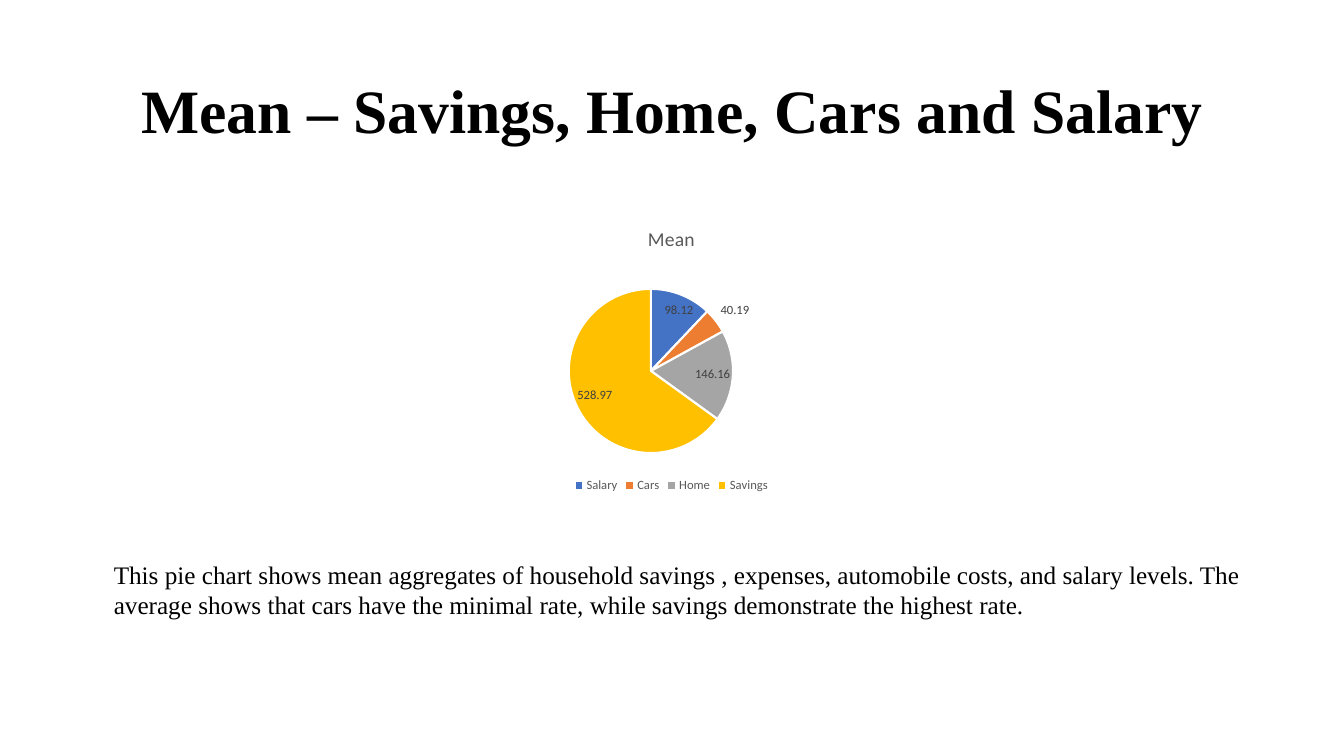
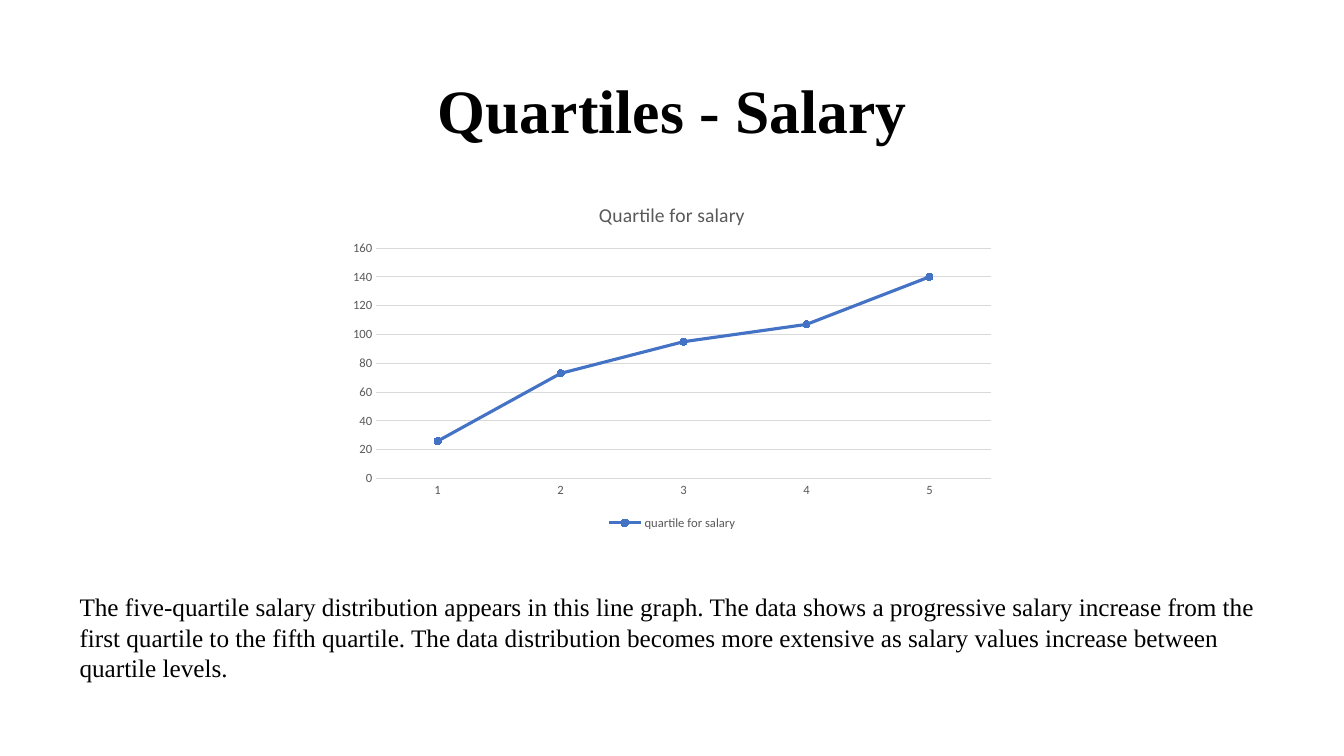
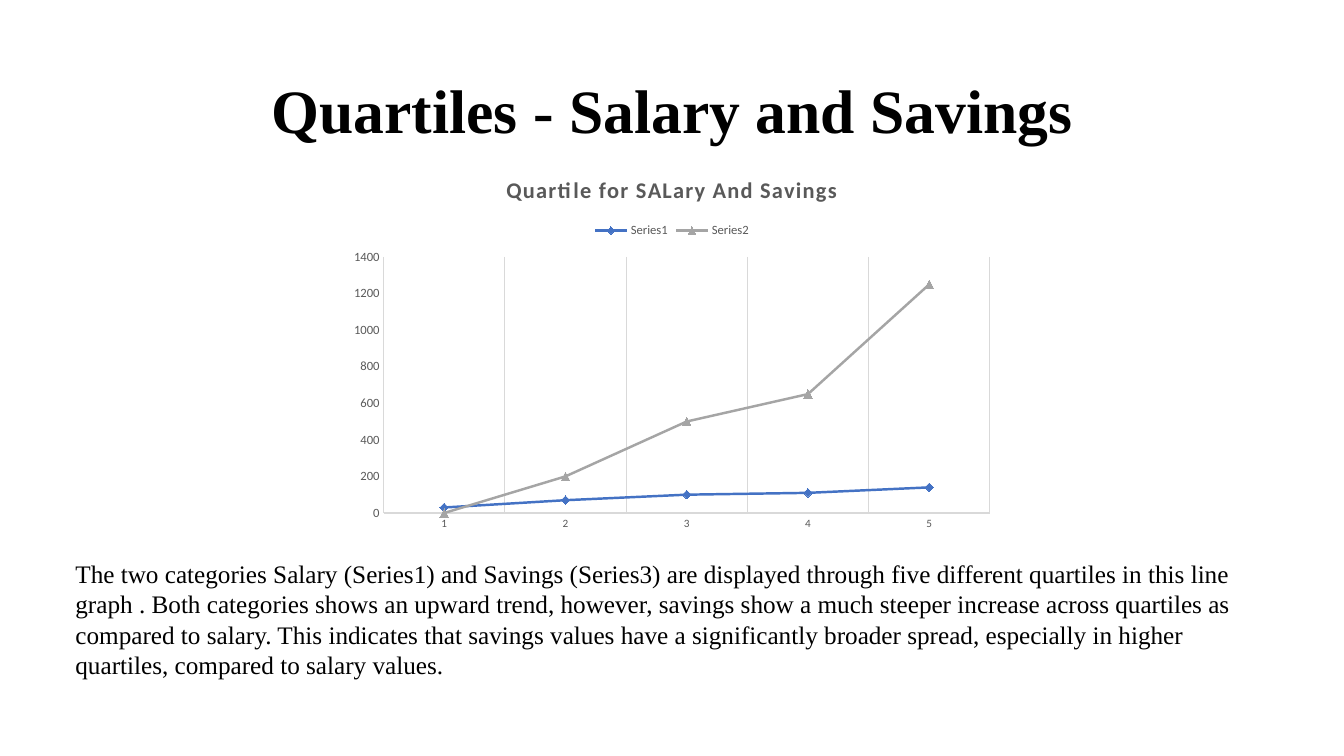
import pptx
import pptx.chart.data
import pptx.dml.color
import pptx.enum.chart
import pptx.enum.text
import pptx.util

Inches = pptx.util.Inches
Pt = pptx.util.Pt
RGBColor = pptx.dml.color.RGBColor
ChartType = pptx.enum.chart.XL_CHART_TYPE
LegendPosition = pptx.enum.chart.XL_LEGEND_POSITION
Marker = pptx.enum.chart.XL_MARKER_STYLE

BLACK = RGBColor(0x00, 0x00, 0x00)
WHITE = RGBColor(0xFF, 0xFF, 0xFF)
DARK_GREY = RGBColor(0x40, 0x40, 0x40)
TEXT_GREY = RGBColor(0x59, 0x59, 0x59)
RULE_GREY = RGBColor(0xD9, 0xD9, 0xD9)
BLUE = RGBColor(0x44, 0x72, 0xC4)
ORANGE = RGBColor(0xED, 0x7D, 0x31)
GREY = RGBColor(0xA5, 0xA5, 0xA5)
GOLD = RGBColor(0xFF, 0xC0, 0x00)

SERIF = "Times New Roman"
SANS = "Calibri"
QUARTILES = ["1", "2", "3", "4", "5"]


def style_font(font, name, size, color, bold=False):
    font.name = name
    font.size = Pt(size)
    font.color.rgb = color
    font.bold = bold


def style_line(line, color, width):
    line.color.rgb = color
    line.width = Pt(width)


deck = pptx.Presentation()
deck.slide_width = Inches(13.33)
deck.slide_height = Inches(7.5)

# Title position shared by all slides
title_only = deck.slide_layouts[5]
heading_area = title_only.placeholders[0]
heading_area.left, heading_area.top = Inches(0.92), Inches(0.4)
heading_area.width, heading_area.height = Inches(11.5), Inches(1.45)

# Content: each slide has a heading, a chart and a caption
topics = [
    {
        "heading": "Mean – Savings, Home, Cars and Salary",
        "chart_type": ChartType.PIE,
        "chart_area": (2.13, 2.09, 9.06, 2.84),
        "chart_title": "Mean",
        "legend": LegendPosition.BOTTOM,
        "categories": ["Salary", "Cars", "Home", "Savings"],
        "series": [("Mean", [98.12, 40.19, 146.16, 528.97])],
        "caption_area": (1.03, 5.5, 12.01, 0.71),
        "caption": "This pie chart shows mean aggregates of household savings , "
                   "expenses, automobile costs, and salary levels. The average shows "
                   "that cars have the minimal rate, while savings demonstrate the "
                   "highest rate.",
    },
    {
        "heading": "Quartiles - Salary",
        "chart_type": ChartType.LINE_MARKERS,
        "chart_area": (3.37, 1.84, 6.59, 3.46),
        "chart_title": "Quartile for salary",
        "legend": LegendPosition.BOTTOM,
        "categories": QUARTILES,
        "series": [("quartile for salary", [26, 73, 95, 107, 140])],
        "line_styles": [(BLUE, 2.25, Marker.CIRCLE, 5)],
        "category_font_size": 9,
        "caption_area": (0.69, 5.82, 12.09, 1.01),
        "caption": "The five-quartile salary distribution appears in this line graph. "
                   "The data shows a progressive salary increase from the first "
                   "quartile to the fifth quartile. The data distribution becomes more "
                   "extensive as salary values increase between quartile levels.",
    },
    {
        "heading": "Quartiles - Salary and Savings",
        "chart_type": ChartType.LINE_MARKERS,
        "chart_area": (3.38, 1.57, 6.57, 3.77),
        "chart_title": "Quartile for SALary And Savings",
        "spaced_title": True,
        "legend": LegendPosition.TOP,
        "categories": QUARTILES,
        "series": [("Series1", [30, 70, 100, 110, 140]),
                   ("Series2", [0, 200, 500, 650, 1250])],
        "line_styles": [(BLUE, 1.75, Marker.DIAMOND, 6),
                        (GREY, 1.75, Marker.TRIANGLE, 6)],
        "category_font_size": 8,
        "vertical_rules": True,
        "caption_area": (0.65, 5.49, 12.03, 1.31),
        "caption": "The two categories Salary (Series1) and Savings (Series3) are "
                   "displayed through five different quartiles in this line graph . "
                   "Both categories shows an upward trend, however, savings show a "
                   "much steeper increase across quartiles as compared to salary. This "
                   "indicates that savings values have a significantly broader spread, "
                   "especially in higher quartiles, compared to salary values.",
    },
]

for topic in topics:
    slide = deck.slides.add_slide(title_only)

    # Heading
    heading = slide.shapes.title.text_frame
    heading.auto_size = pptx.enum.text.MSO_AUTO_SIZE.NONE
    heading.vertical_anchor = pptx.enum.text.MSO_ANCHOR.MIDDLE
    heading_line = heading.paragraphs[0]
    heading_line.alignment = pptx.enum.text.PP_ALIGN.CENTER
    heading_line.line_spacing = 0.9
    heading_run = heading_line.add_run()
    heading_run.text = topic["heading"]
    style_font(heading_run.font, SERIF, 44, BLACK, bold=True)

    # Chart with its title and legend
    figures = pptx.chart.data.CategoryChartData()
    figures.categories = topic["categories"]
    for series_name, values in topic["series"]:
        figures.add_series(series_name, values)
    chart_area = [Inches(length) for length in topic["chart_area"]]
    chart = slide.shapes.add_chart(topic["chart_type"], *chart_area, figures).chart
    style_font(chart.font, SANS, 10, BLACK)

    spaced_title = topic.get("spaced_title", False)
    chart.has_title = True
    title_run = chart.chart_title.text_frame.paragraphs[0].add_run()
    title_run.text = topic["chart_title"]
    style_font(title_run.font, SANS, 16 if spaced_title else 14, TEXT_GREY, spaced_title)
    if spaced_title:
        title_run.font._element.set("spc", "100")

    chart.has_legend = True
    chart.legend.position = topic["legend"]
    chart.legend.include_in_layout = False
    style_font(chart.legend.font, SANS, 9, TEXT_GREY)

    plot = chart.plots[0]
    if topic["chart_type"] == ChartType.PIE:
        # Slices and value labels
        plot.vary_by_categories = True
        for index, color in enumerate([BLUE, ORANGE, GREY, GOLD]):
            slice_format = plot.series[0].points[index].format
            slice_format.fill.solid()
            slice_format.fill.fore_color.rgb = color
            style_line(slice_format.line, WHITE, 1.5)
        labels = plot.series[0].data_labels
        labels.show_value = True
        labels.position = pptx.enum.chart.XL_LABEL_POSITION.BEST_FIT
        style_font(labels.font, SANS, 9, DARK_GREY)
    else:
        # Lines and markers
        plot.vary_by_categories = False
        for series, (color, width, marker, size) in zip(plot.series, topic["line_styles"]):
            series.smooth = False
            style_line(series.format.line, color, width)
            series.marker.style = marker
            series.marker.size = size
            series.marker.format.fill.solid()
            series.marker.format.fill.fore_color.rgb = color
            style_line(series.marker.format.line, color, 0.75)

        # Axes, with rules along one direction only
        vertical_rules = topic.get("vertical_rules", False)
        for axis, font_size, has_rules in (
            (chart.category_axis, topic["category_font_size"], vertical_rules),
            (chart.value_axis, 9, not vertical_rules),
        ):
            axis.major_tick_mark = pptx.enum.chart.XL_TICK_MARK.NONE
            axis.minor_tick_mark = pptx.enum.chart.XL_TICK_MARK.NONE
            style_font(axis.tick_labels.font, SANS, font_size, TEXT_GREY)
            style_line(axis.format.line, RULE_GREY, 0.75)
            axis.has_major_gridlines = has_rules
            if has_rules:
                style_line(axis.major_gridlines.format.line, RULE_GREY, 0.75)
        if not vertical_rules:
            chart.value_axis.format.line.fill.background()

    # Caption
    caption_area = [Inches(length) for length in topic["caption_area"]]
    caption = slide.shapes.add_textbox(*caption_area).text_frame
    caption.word_wrap = True
    caption.auto_size = pptx.enum.text.MSO_AUTO_SIZE.SHAPE_TO_FIT_TEXT
    caption_run = caption.paragraphs[0].add_run()
    caption_run.text = topic["caption"]
    style_font(caption_run.font, SERIF, 18, BLACK)

deck.save("out.pptx")
